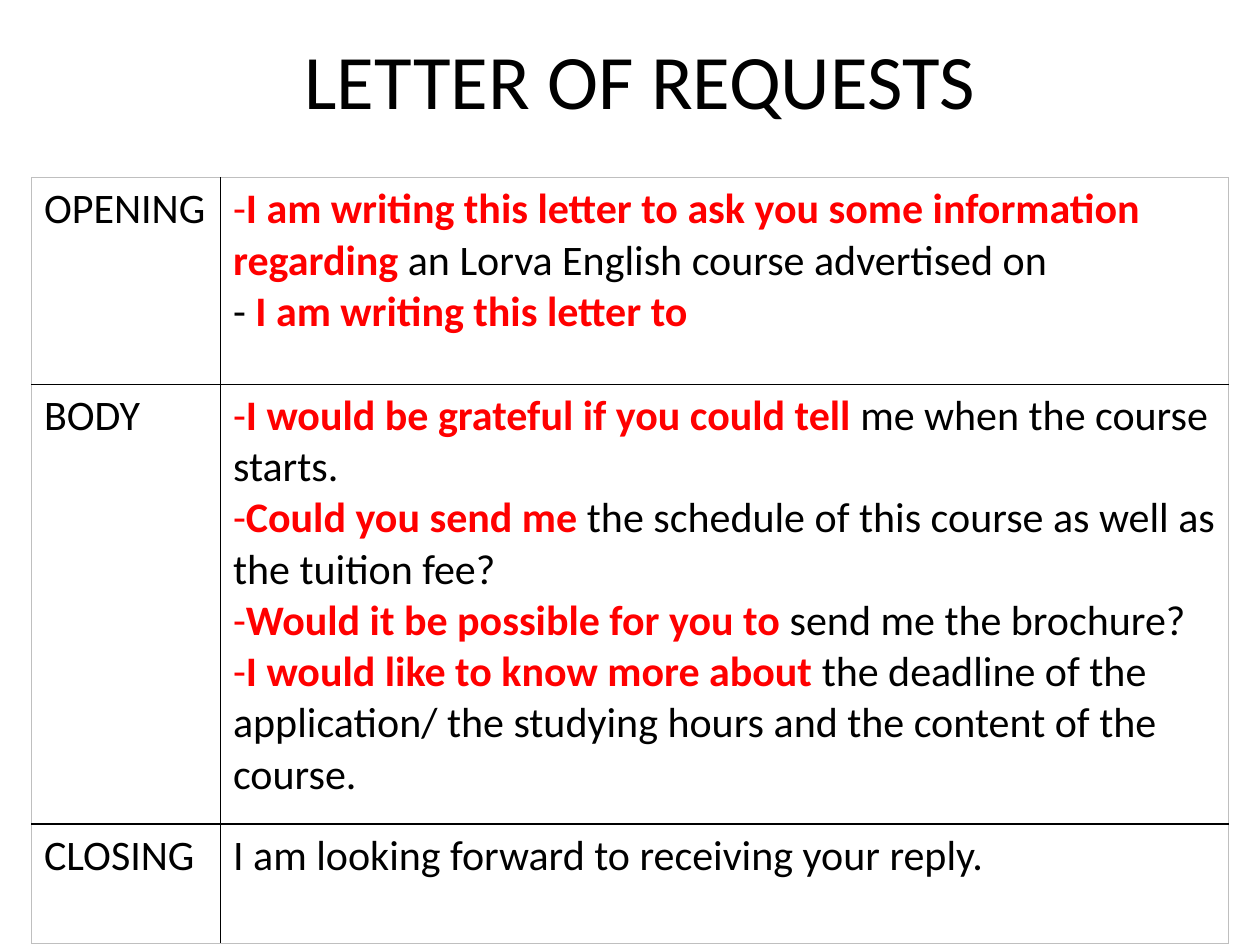
import dataclasses

import lxml.etree
import pptx
import pptx.dml.color
import pptx.enum.text
import pptx.oxml.ns
import pptx.util

Inches = pptx.util.Inches
FONT = "Calibri"
COLORS = {"page": "FFFFFF", "text": "000000", "phrase": "FF0000",
          "inner": "000000", "outer": "BFBFBF"}
BORDER_WIDTHS = {"inner": 1, "outer": 0.5}
COLUMN_WIDTHS = (1.5, 8)
TABLE_FLAGS = {"first_row": False, "horz_banding": False}
TITLE_FRAME = {"word_wrap": True,
               "vertical_anchor": pptx.enum.text.MSO_ANCHOR.MIDDLE}


@dataclasses.dataclass
class Sentence:
    """A model sentence: lead-in, key phrase in red, plain ending."""
    phrase: str = ""
    ending: str = ""
    lead: str = ""
    dashed: bool = True


@dataclasses.dataclass
class Part:
    """One part of the letter, shown as a table row."""
    heading: str
    height: float
    sentences: list[Sentence]


PARTS = [
    Part("OPENING", 1.64, [
        Sentence("I am writing this letter to ask you some information regarding ",
                 "an Lorva English course advertised on "),
        Sentence("I am writing this letter to ", lead=" "),
    ]),
    Part("BODY", 3.49, [
        Sentence("I would be grateful if you could tell ",
                 "me when the course starts."),
        Sentence("Could you send me ",
                 "the schedule of this course as well as the tuition fee?"),
        Sentence("Would it be possible for you to ", "send me the brochure?"),
        Sentence("I would like to know more about ",
                 "the deadline of the application/ the studying hours "
                 "and the content of the course."),
    ]),
    Part("CLOSING", 0.95, [
        Sentence(ending="I am looking forward to receiving your reply.",
                 dashed=False),
    ]),
]


def apply(target: object, values: dict) -> None:
    """Set each named format value on the target."""
    for name, value in values.items():
        setattr(target, name, value)


def add_run(paragraph, text: str, size: int = 24, color: str = "text",
            bold: bool = False) -> None:
    """Append a formatted run."""
    run = paragraph.add_run()
    run.text = text
    apply(run.font, {"name": FONT, "size": pptx.util.Pt(size), "bold": bold})
    run.font.color.rgb = pptx.dml.color.RGBColor.from_string(COLORS[color])


def add_dash(paragraph) -> None:
    """Give the paragraph a dash bullet without indent."""
    properties = paragraph._p.get_or_add_pPr()
    properties.set("marL", "0")
    properties.set("indent", "0")
    font = lxml.etree.SubElement(properties, pptx.oxml.ns.qn("a:buFont"))
    font.set("typeface", FONT)
    bullet = lxml.etree.SubElement(properties, pptx.oxml.ns.qn("a:buChar"))
    bullet.set("char", "-")


def write_sentences(cell, sentences: list[Sentence]) -> None:
    """Write one paragraph for each sentence."""
    frame = cell.text_frame
    for index, sentence in enumerate(sentences):
        paragraph = frame.add_paragraph() if index else frame.paragraphs[0]
        if sentence.dashed:
            add_dash(paragraph)
        for text, color in ((sentence.lead, "text"), (sentence.phrase, "phrase"),
                            (sentence.ending, "text")):
            if text:
                add_run(paragraph, text, color=color, bold=color == "phrase")


def set_borders(cell, row: int, column: int) -> None:
    """Draw dark lines inside the table and pale lines around it."""
    edges = {"L": column == 0, "R": column == len(COLUMN_WIDTHS) - 1,
             "T": row == 0, "B": row == len(PARTS) - 1}
    properties = cell._tc.get_or_add_tcPr()
    for position, (side, is_outer) in enumerate(edges.items()):
        style = "outer" if is_outer else "inner"
        line = lxml.etree.Element(pptx.oxml.ns.qn(f"a:ln{side}"))
        line.set("w", str(pptx.util.Pt(BORDER_WIDTHS[style])))
        fill = lxml.etree.SubElement(line, pptx.oxml.ns.qn("a:solidFill"))
        color = lxml.etree.SubElement(fill, pptx.oxml.ns.qn("a:srgbClr"))
        color.set("val", COLORS[style])
        properties.insert(position, line)


def add_title(slide) -> None:
    """Add the centred slide title."""
    title = slide.shapes.add_textbox(Inches(0.58), Inches(0), Inches(9), Inches(1.25))
    apply(title.text_frame, TITLE_FRAME)
    paragraph = title.text_frame.paragraphs[0]
    paragraph.alignment = pptx.enum.text.PP_ALIGN.CENTER
    add_run(paragraph, "LETTER OF REQUESTS", size=44)


def add_letter_table(slide) -> None:
    """Add the table of letter parts and their sentences."""
    height = sum(part.height for part in PARTS)
    letter = slide.shapes.add_table(
        len(PARTS), len(COLUMN_WIDTHS), Inches(0.25), Inches(1.41),
        Inches(sum(COLUMN_WIDTHS)), Inches(height)).table
    apply(letter, TABLE_FLAGS)
    for column, width in zip(letter.columns, COLUMN_WIDTHS):
        column.width = Inches(width)
    for row, part in enumerate(PARTS):
        letter.rows[row].height = Inches(part.height)
        heading = [Sentence(ending=part.heading, dashed=False)]
        for column, sentences in enumerate((heading, part.sentences)):
            cell = letter.cell(row, column)
            cell.fill.background()
            write_sentences(cell, sentences)
            set_borders(cell, row, column)


def main() -> None:
    """Build and save the slide."""
    deck = pptx.Presentation()
    apply(deck, {"slide_width": Inches(10), "slide_height": Inches(7.5)})
    slide = deck.slides.add_slide(deck.slide_layouts[6])
    slide.background.fill.solid()
    slide.background.fill.fore_color.rgb = pptx.dml.color.RGBColor.from_string(
        COLORS["page"])
    add_letter_table(slide)
    add_title(slide)
    deck.save("out.pptx")


main()
